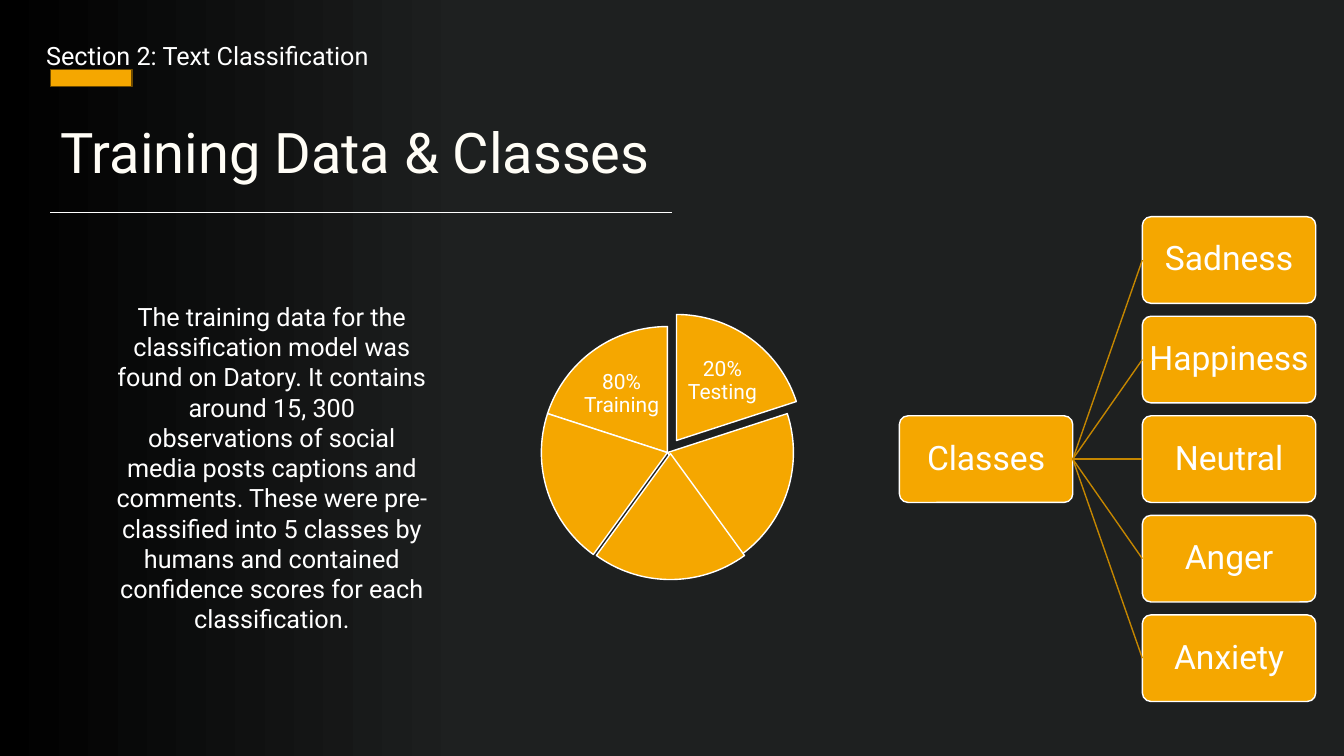
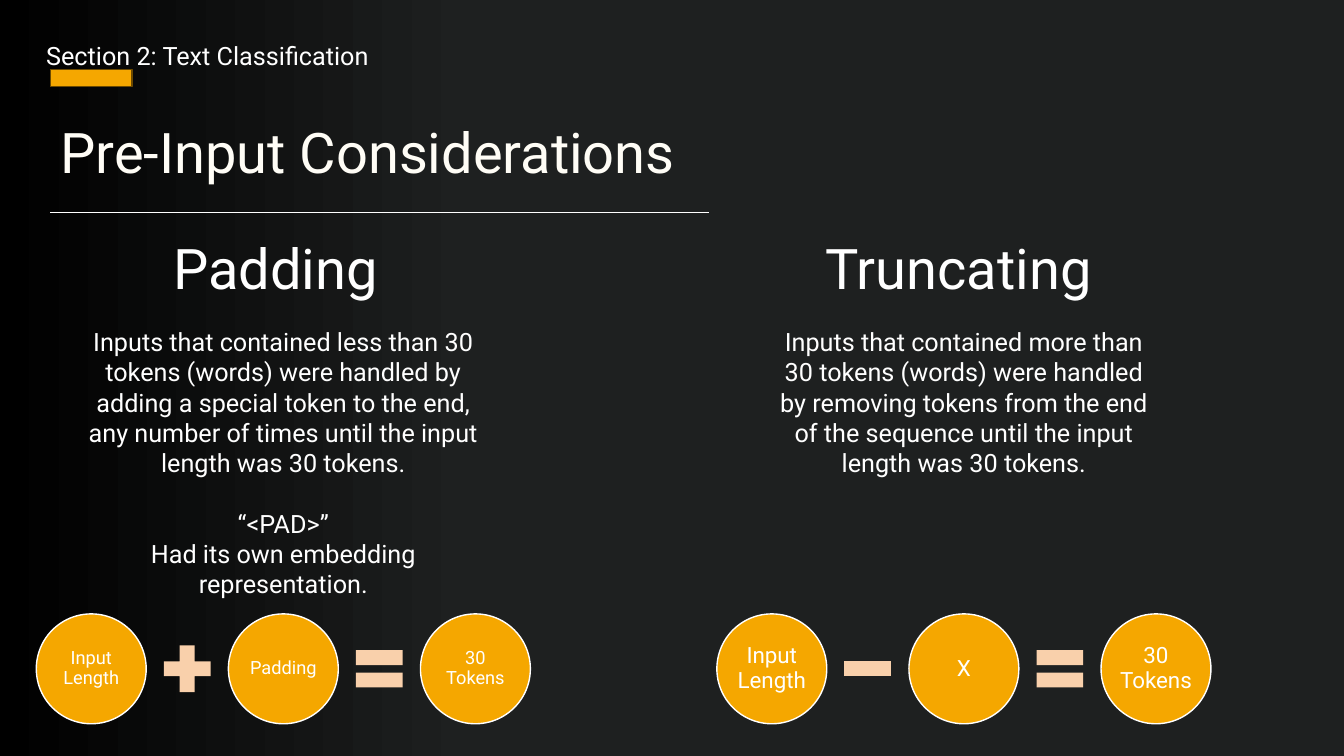
from lxml import etree
from pptx import Presentation
from pptx import util as u
from pptx.dml.color import RGBColor
from pptx.enum import shapes, text
from pptx.oxml import ns

W, H = 13.33, 7.5
FONT = "Roboto"
COLORS = {
    "black": "000000", "charcoal": "1E2020", "cream": "FFFDF6", "white": "FFFFFF",
    "amber": "F5A700", "brown": "6B4900", "link": "C48600", "peach": "F9D0AB",
}
KIND = shapes.MSO_SHAPE
MIDDLE = text.MSO_ANCHOR.MIDDLE
CENTER, LEFT = text.PP_ALIGN.CENTER, text.PP_ALIGN.LEFT
BODY = {"size": 18, "align": CENTER}
HEADING = {"size": 40}


def rgb(name):
    return RGBColor.from_string(COLORS[name])


def inches(*values):
    return [u.Inches(v) for v in values]


def write(shape, paragraphs, size, color="white", align=LEFT, anchor=text.MSO_ANCHOR.TOP,
          inset=None, spacing=None, gaps=()):
    """Fill a shape with paragraphs; gaps maps paragraph indexes to space before."""
    tf = shape.text_frame
    frame = {"word_wrap": True, "auto_size": text.MSO_AUTO_SIZE.NONE, "vertical_anchor": anchor}
    if inset is not None:
        frame.update({f"margin_{side}": u.Inches(inset)
                      for side in ("left", "right", "top", "bottom")})
    for name, value in frame.items():
        setattr(tf, name, value)
    for i, line in enumerate(paragraphs):
        p = tf.paragraphs[0] if i == 0 else tf.add_paragraph()
        p.alignment = align
        if spacing:
            p.line_spacing = spacing
        if i in gaps:
            p.space_before = u.Pt(gaps[i])
        r = p.add_run()
        r.text = line
        for name, value in {"name": FONT, "size": u.Pt(size)}.items():
            setattr(r.font, name, value)
        r.font.color.rgb = rgb(color)


def add_text(s, box, paragraphs, **style):
    write(s.shapes.add_textbox(*inches(*box)), paragraphs, **style)


def add_shape(s, kind, box, fill="amber", line="white"):
    sp = s.shapes.add_shape(kind, *inches(*box))
    sp.shadow.inherit = False
    sp.fill.solid()
    sp.fill.fore_color.rgb = rgb(fill)
    if line:
        sp.line.color.rgb = rgb(line)
        sp.line.width = u.Pt(1)
    else:
        sp.line.fill.background()
    return sp


def diagram_text(size):
    return {"size": size, "align": CENTER, "anchor": MIDDLE, "inset": 0.02, "spacing": 0.9}


def add_line(s, start, end, color, width):
    line = s.shapes.add_connector(shapes.MSO_CONNECTOR.STRAIGHT, *inches(*start, *end))
    line.line.color.rgb = rgb(color)
    line.line.width = u.Pt(width)
    etree.SubElement(line._element.spPr, ns.qn("a:effectLst"))
    return line


def set_background(layout):
    fill = layout.background.fill
    fill.gradient()
    fill.gradient_angle = 0
    for stop, (position, color) in zip(fill.gradient_stops, ((0, "black"), (0.35, "charcoal"))):
        stop.position = position
        stop.color.rgb = rgb(color)


def add_section_slide(prs, layout, title, rule_end):
    """Add a slide with the section label, accent band, title and rule."""
    s = prs.slides.add_slide(layout)
    sp = s.shapes.title
    for name, value in zip(("left", "top", "width", "height"), inches(0.5, 1.12, 12.33, 0.77)):
        setattr(sp, name, value)
    write(sp, [title], color="cream", **HEADING)
    add_shape(s, KIND.RECTANGLE, (0.5, 0.69, 0.81, 0.17), line="brown")
    add_line(s, (0.5, 2.11), (rule_end, 2.11), "white", 0.5)
    add_text(s, (0.36, 0.35, W / 2, 0.4), ["Section 2: Text Classification"], size=18)
    return s


def add_class_tree(s, box, root, leaves):
    """Draw a root node on the left, joined to a column of leaves on the right."""
    left, top, width, height = box
    node_w, node_h = 1.72, 0.86
    step = (height - node_h) / (len(leaves) - 1)

    def node(x, y, label):
        sp = add_shape(s, KIND.ROUNDED_RECTANGLE, (x, y, node_w, node_h))
        sp.adjustments[0] = 0.1
        write(sp, [label], **diagram_text(24))
        return sp

    root_node = node(left, top + (height - node_h) / 2, root)
    for row, label in enumerate(leaves):
        leaf = node(left + width - node_w, top + row * step, label)
        line = add_line(s, (0, 0), (1, 1), "link", 1)
        line.begin_connect(root_node, 3)
        line.end_connect(leaf, 1)


def add_split_pie(s, left, top, size):
    """Draw five equal slices, the first one pulled out, with two labels."""
    shifts = [(0.09, -0.12), (0, 0), (0.03, 0.01), (0, 0), (0, 0)]
    order = (0, 4, 1, 2, 3)
    sweep = 360 / len(order)
    for i, (dx, dy) in zip(order, (shifts[0], *shifts[3:], shifts[2], shifts[1])):
        sp = add_shape(s, KIND.PIE, (left + dx, top + dy, size, size))
        start = 270 + i * sweep
        for k, angle in enumerate((start, start + sweep)):
            sp.adjustments[k] = angle % 360 * 0.6
    for label, dx, dy in (("20% Testing", 1.37, 0.25), ("80% Training", 0.37, 0.38)):
        add_text(s, (left + dx, top + dy, 0.85, 0.58), [label], **diagram_text(15))


def add_equation(s, left, top, terms, operators, size):
    """Draw circled terms with a math sign in each gap."""
    circle, sign, step = 1.09, 0.63, 1.905
    for i, term in enumerate(terms):
        sp = add_shape(s, KIND.OVAL, (left + i * step, top, circle, circle))
        write(sp, [term], **diagram_text(size))
    for i, kind in enumerate(operators):
        x = left + i * step + (circle + step - sign) / 2
        add_shape(s, kind, (x, top + (circle - sign) / 2, sign, sign), "peach", None)


def add_method(s, left, heading, heading_box, paragraphs, equation, gaps=()):
    """Place one column: heading, explanation and equation."""
    dx, width = heading_box
    add_text(s, (left + dx, 2.27, width, 0.77), [heading], **HEADING)
    add_text(s, (left + 0.38, 3.19, 4.06, 2.83), paragraphs, gaps=gaps, **BODY)
    add_equation(s, left - 0.04, 6.09, **equation)


def build_training_slide(prs, layout):
    s = add_section_slide(prs, layout, "Training Data & Classes", 6.67)
    add_class_tree(s, (8.92, 2.15, 4.13, 4.81), "Classes",
                   ["Sadness", "Happiness", "Neutral", "Anger", "Anxiety"])
    add_split_pie(s, 5.37, 3.24, 2.5)
    add_text(s, (1.03, 2.94, W / 4, 3.43), [
        "The training data for the classification model was found on Datory. It contains "
        "around 15, 300 observations of social media posts captions and comments. These were "
        "pre-classified into 5 classes by humans and contained confidence scores for each "
        "classification."], **BODY)


def build_input_slide(prs, layout):
    s = add_section_slide(prs, layout, "Pre-Input Considerations", 7.03)
    add_method(
        s, 0.4, "Padding", (1.22, 2.38),
        ["Inputs that contained less than 30 tokens (words) were handled by adding a special "
         "token to the end, any number of times until the input length was 30 tokens.",
         "“<PAD>”", "Had its own embedding representation."],
        {"terms": ["Input Length", "Padding", "30 Tokens"],
         "operators": [KIND.MATH_PLUS, KIND.MATH_EQUAL], "size": 13},
        gaps={1: 21.6})
    add_method(
        s, 7.15, "Truncating", (0.94, 2.93),
        ["Inputs that contained more than 30 tokens (words) were handled by removing tokens "
         "from the end of the sequence until the input length was 30 tokens."],
        {"terms": ["Input Length", "X", "30 Tokens"],
         "operators": [KIND.MATH_MINUS, KIND.MATH_EQUAL], "size": 16})


def main():
    prs = Presentation()
    prs.slide_width, prs.slide_height = inches(W, H)
    layout = prs.slide_layouts.get_by_name("Title Only")
    set_background(layout)
    build_training_slide(prs, layout)
    build_input_slide(prs, layout)
    prs.save("out.pptx")


if __name__ == "__main__":
    main()
